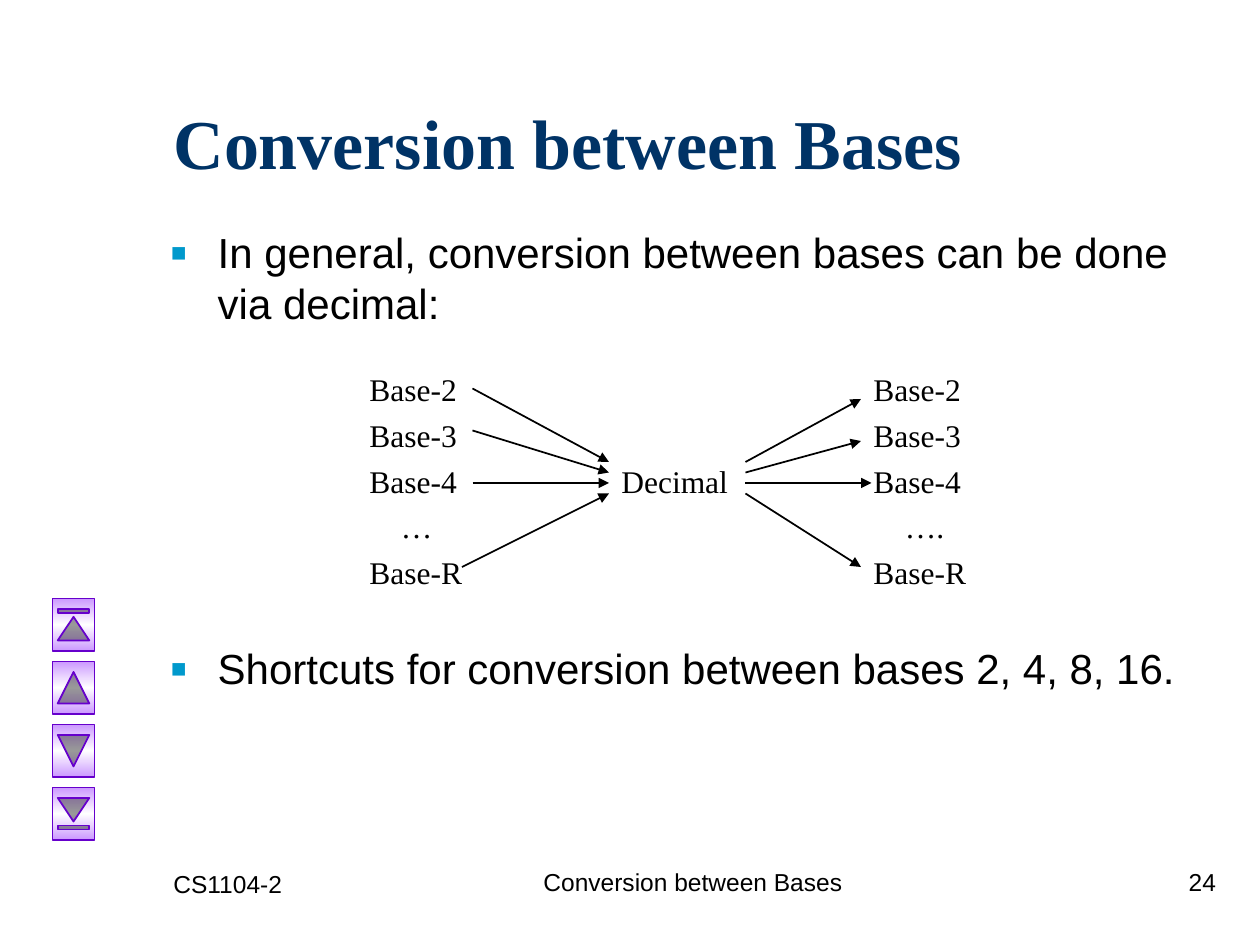
import pptx
import pptx.util
import pptx.dml.color
import pptx.enum.shapes
import pptx.enum.text
import pptx.oxml
import pptx.oxml.ns

COLORS = {
    "title": "003366",
    "text": "000000",
    "bullet": "0099CC",
    "button": "CC99FF",
    "button_middle": "FFFFFF",
    "button_line": "6600CC",
}
SERIF, SANS = "Times New Roman", "Arial"
ALIGN = pptx.enum.text.PP_ALIGN
SHAPE = pptx.enum.shapes.MSO_SHAPE

presentation = pptx.Presentation()
presentation.slide_width = pptx.util.Inches(10)
presentation.slide_height = pptx.util.Inches(7.5)
slide = presentation.slides.add_slide(presentation.slide_layouts[5])

# Grid of 120 columns by 90 rows
COLUMN = presentation.slide_width / 120
ROW = presentation.slide_height / 90


def place(left, top, width, height):
    return [round(n * unit) for n, unit in
            zip((left, top, width, height), (COLUMN, ROW, COLUMN, ROW))]


def write(shape, text, size, font=SANS, color="text", bold=False, align=ALIGN.LEFT,
          anchor=pptx.enum.text.MSO_ANCHOR.TOP, gap=0, bullet=False, tabs=()):
    """Write one paragraph per line, with tab stops in inches."""
    frame = shape.text_frame
    frame.word_wrap = True
    frame.auto_size = pptx.enum.text.MSO_AUTO_SIZE.NONE
    frame.vertical_anchor = anchor
    for index, line in enumerate(text.split("\n")):
        paragraph = frame.add_paragraph() if index else frame.paragraphs[0]
        properties = paragraph._p.get_or_add_pPr()
        namespace = pptx.oxml.ns.nsdecls("a")
        if bullet:
            properties.set("marL", str(pptx.util.Inches(0.38)))
            properties.set("indent", str(-pptx.util.Inches(0.38)))
            for element in (f'<a:buClr {namespace}><a:srgbClr val="{COLORS["bullet"]}"/></a:buClr>',
                            f'<a:buSzPct {namespace} val="120000"/>',
                            f'<a:buFont {namespace} typeface="{SANS}"/>',
                            f'<a:buChar {namespace} char="▪"/>'):
                properties.append(pptx.oxml.parse_xml(element))
        if tabs:
            stops = "".join(f'<a:tab pos="{pptx.util.Inches(stop)}" algn="l"/>'
                            for stop in tabs[index])
            properties.append(pptx.oxml.parse_xml(f"<a:tabLst {namespace}>{stops}</a:tabLst>"))
        paragraph.alignment = align
        if index:
            paragraph.space_before = pptx.util.Pt(gap)
        run = paragraph.add_run()
        run.text = line
        run.font.size = pptx.util.Pt(size)
        run.font.name = font
        run.font.bold = bold
        run.font.color.rgb = pptx.dml.color.RGBColor.from_string(COLORS[color])


# Title
title = slide.shapes.title
title.left, title.top, title.width, title.height = place(15.33, 6, 102, 15)
write(title, "Conversion between Bases", 40, font=SERIF, color="title", bold=True,
      anchor=pptx.enum.text.MSO_ANCHOR.MIDDLE)

# Bullets, with room for the diagram between them
write(slide.shapes.add_textbox(*place(15, 21, 101, 52)),
      "In general, conversion between bases can be done via decimal:\n"
      "Shortcuts for conversion between bases 2, 4, 8, 16.",
      24, gap=180, bullet=True)

# Diagram labels in three tabbed columns
base_stops, ellipsis_stops = (2, 4), (0.25, 4.25)
write(slide.shapes.add_textbox(*place(34, 34.67, 63.5, 22.2)),
      "Base-2\t\tBase-2\nBase-3\t\tBase-3\nBase-4\tDecimal\tBase-4\n\t…\t….\nBase-R\t\tBase-R",
      18, font=SERIF, gap=4.5,
      tabs=[base_stops] * 3 + [ellipsis_stops, base_stops])

# Arrows into and out of decimal
arrows = [
    (45, 37, 58, 44), (45, 41, 58, 45), (45, 46, 58, 46), (44, 54, 58, 47),
    (71, 44, 82, 38), (71, 45, 82, 42), (71, 46, 83, 46), (71, 47, 82, 54),
]
for ends in arrows:
    arrow = slide.shapes.add_connector(pptx.enum.shapes.MSO_CONNECTOR.STRAIGHT, *place(*ends))
    arrow.line.width = pptx.util.Pt(1)
    arrow.line.color.rgb = pptx.dml.color.RGBColor.from_string(COLORS["text"])
    namespace = pptx.oxml.ns.nsdecls("a")
    arrow.line._get_or_add_ln().append(
        pptx.oxml.parse_xml(f'<a:tailEnd {namespace} type="triangle"/>'))
    arrow._element.spPr.append(pptx.oxml.parse_xml(f"<a:effectLst {namespace}/>"))

# Navigation buttons, turned to point up and down
buttons = [SHAPE.ACTION_BUTTON_BEGINNING, SHAPE.ACTION_BUTTON_BACK_OR_PREVIOUS,
           SHAPE.ACTION_BUTTON_FORWARD_OR_NEXT, SHAPE.ACTION_BUTTON_END]
for index, kind in enumerate(buttons):
    button = slide.shapes.add_shape(kind, *place(4.5, 57.5 + 6 * index, 5, 4))
    button.rotation = 90
    button.shadow.inherit = False
    button.line.width = pptx.util.Pt(1)
    button.line.color.rgb = pptx.dml.color.RGBColor.from_string(COLORS["button_line"])
    button.fill.gradient()
    button.fill.gradient_angle = 270
    for stop in button.fill.gradient_stops:
        stop.color.rgb = pptx.dml.color.RGBColor.from_string(COLORS["button"])
    gradient = button._element.spPr.find(pptx.oxml.ns.qn("a:gradFill"))
    gradient.set("rotWithShape", "0")
    gradient.find(pptx.oxml.ns.qn("a:gsLst")).insert(1, pptx.oxml.parse_xml(
        f'<a:gs {pptx.oxml.ns.nsdecls("a")} pos="50000">'
        f'<a:srgbClr val="{COLORS["button_middle"]}"/></a:gs>'))

# Footer
footers = [
    ("Conversion between Bases", (47, 82, 38, 6), ALIGN.CENTER),
    ("24", (92, 82, 25, 6), ALIGN.RIGHT),
    ("CS1104-2", (15.33, 82.2, 25, 6), ALIGN.LEFT),
]
for text, position, align in footers:
    write(slide.shapes.add_textbox(*place(*position)), text, 14, align=align)

presentation.save("out.pptx")
